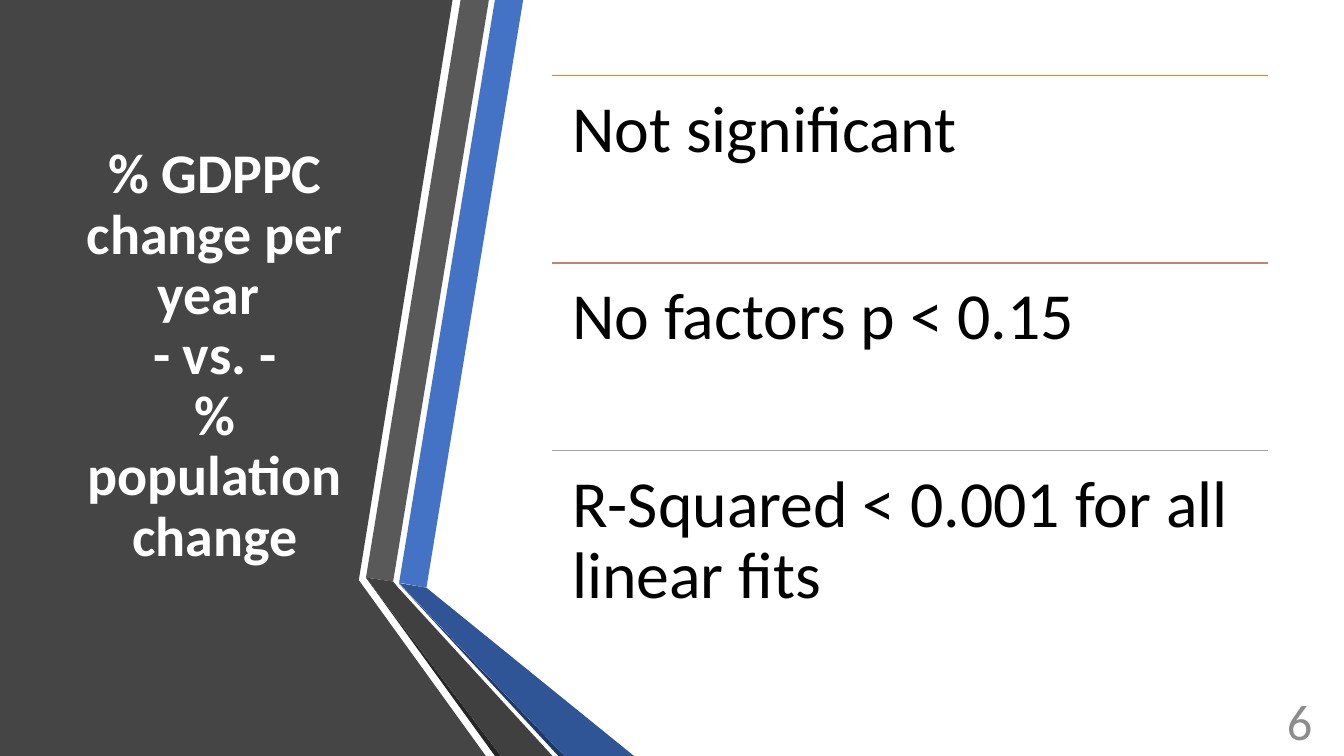
from dataclasses import dataclass

from lxml.etree import SubElement
from pptx import Presentation
from pptx.dml.color import RGBColor
from pptx.enum.shapes import MSO_CONNECTOR as Connector
from pptx.enum.text import MSO_ANCHOR as Anchor, MSO_AUTO_SIZE as AutoSize, PP_ALIGN as Align
from pptx.oxml.ns import qn
from pptx.slide import Slide
from pptx.util import Pt


@dataclass(frozen=True)
class Theme:
    font: str = "Calibri"
    title_size: float = 40
    row_size: float = 47
    number_size: float = 36
    white: str = "FFFFFF"
    black: str = "000000"
    number: str = "8C8C8C"
    panel: str = "454545"
    blue: str = "4472C4"
    blue_fold: str = "2F5597"
    blue_edge: str = "203864"
    gray: str = "595959"
    gray_fold: str = "404040"
    gray_edge: str = "262626"
    orange_rule: str = "ED7D31"
    rose_rule: str = "C48170"
    gray_rule: str = "A5A5A5"


@dataclass(frozen=True)
class Band:
    color: str
    points: tuple[tuple[float, float], ...]


@dataclass(frozen=True)
class Row:
    text: str
    rule_color: str


THEME = Theme()
WIDTH, HEIGHT = 960, 540
ROW_LEFT, ROW_TOP, ROW_WIDTH, ROW_HEIGHT = 394.56, 54, 511.2, 133.92

BANDS = (
    Band(THEME.panel, ((0, 0), (323.3, 0), (256.3, 414.4), (347, HEIGHT), (0, HEIGHT))),
    Band(THEME.blue, ((285.1, 416.2), (304.6, 419.8), (373.7, 0), (353.5, 0))),
    Band(THEME.gray, ((349.2, 0), (329, 0), (261.4, 412.6), (280.8, 415.4))),
    Band(THEME.gray_edge, ((261.4, 412.6), (353.5, HEIGHT), (357.8, HEIGHT))),
    Band(THEME.blue_edge, ((285.1, 416.9), (398.9, HEIGHT), (403.2, HEIGHT))),
    Band(THEME.blue_fold, ((285.1, 416.5), (403.2, HEIGHT), (452.9, HEIGHT), (304.6, 419.8))),
    Band(THEME.gray_fold, ((394.6, HEIGHT), (284.4, 419.8), (280.8, 415.4),
                           (261.4, 412.6), (357.8, HEIGHT))),
)

ROWS = (
    Row("Not significant", THEME.orange_rule),
    Row("No factors p < 0.15", THEME.rose_rule),
    Row("R-Squared < 0.001 for all linear fits", THEME.gray_rule),
)


def write_text(shape, text: str, *, size: float, color: str, bold: bool = False,
               align: Align = Align.LEFT, anchor: Anchor = Anchor.TOP,
               line_spacing: float = 1.0, space_after: float = 0,
               inset: float | None = None) -> None:
    frame = shape.text_frame
    frame.word_wrap = True
    frame.auto_size = AutoSize.NONE
    frame.vertical_anchor = anchor
    if inset is not None:
        frame.margin_left = frame.margin_right = Pt(inset)
        frame.margin_top = frame.margin_bottom = Pt(inset)
    paragraph = frame.paragraphs[0]
    paragraph.text = text
    paragraph.alignment = align
    paragraph.line_spacing = line_spacing
    paragraph.space_before = Pt(0)
    paragraph.space_after = Pt(space_after)
    for run in paragraph.runs:
        run.font.name = THEME.font
        run.font.size = Pt(size)
        run.font.bold = bold
        run.font.color.rgb = RGBColor.from_string(color)


def add_band(slide: Slide, band: Band) -> None:
    start, *others = [(Pt(x), Pt(y)) for x, y in band.points]
    builder = slide.shapes.build_freeform(*start)
    builder.add_line_segments(others, close=True)
    shape = builder.convert_to_shape()
    shape.shadow.inherit = False
    shape.fill.solid()
    shape.fill.fore_color.rgb = RGBColor.from_string(band.color)
    shape.line.fill.background()


def add_row(slide: Slide, row: Row, top: float) -> None:
    """Add a rule with its statement below it."""
    rule = slide.shapes.add_connector(
        Connector.STRAIGHT, Pt(ROW_LEFT), Pt(top), Pt(ROW_LEFT + ROW_WIDTH), Pt(top))
    rule.line.color.rgb = RGBColor.from_string(row.rule_color)
    rule.line.width = Pt(1)
    SubElement(rule.element.spPr, qn("a:effectLst"))
    box = slide.shapes.add_textbox(Pt(ROW_LEFT), Pt(top), Pt(ROW_WIDTH), Pt(ROW_HEIGHT))
    write_text(box, row.text, size=THEME.row_size, color=THEME.black,
               line_spacing=0.9, space_after=16.45, inset=14.1)


def place_title(slide: Slide) -> None:
    """Format the title placeholder and bring it in front of the bands."""
    title = slide.shapes.title
    title.left, title.top, title.width, title.height = Pt(42.5), Pt(54), Pt(221.8), Pt(401.8)
    write_text(title, "% GDPPC change per year \v- vs. -\v% population change",
               size=THEME.title_size, color=THEME.white, bold=True,
               align=Align.CENTER, anchor=Anchor.MIDDLE, line_spacing=0.9)
    title.element.getparent().append(title.element)


def main() -> None:
    presentation = Presentation()
    presentation.slide_width, presentation.slide_height = Pt(WIDTH), Pt(HEIGHT)
    slide = presentation.slides.add_slide(presentation.slide_layouts.get_by_name("Title Only"))
    for band in BANDS:
        add_band(slide, band)
    place_title(slide)
    for index, row in enumerate(ROWS):
        add_row(slide, row, ROW_TOP + index * ROW_HEIGHT)
    number = slide.shapes.add_textbox(Pt(728.6), Pt(500), Pt(216), Pt(28.8))
    write_text(number, "6", size=THEME.number_size, color=THEME.number,
               align=Align.RIGHT, anchor=Anchor.MIDDLE)
    presentation.save("out.pptx")


if __name__ == "__main__":
    main()
